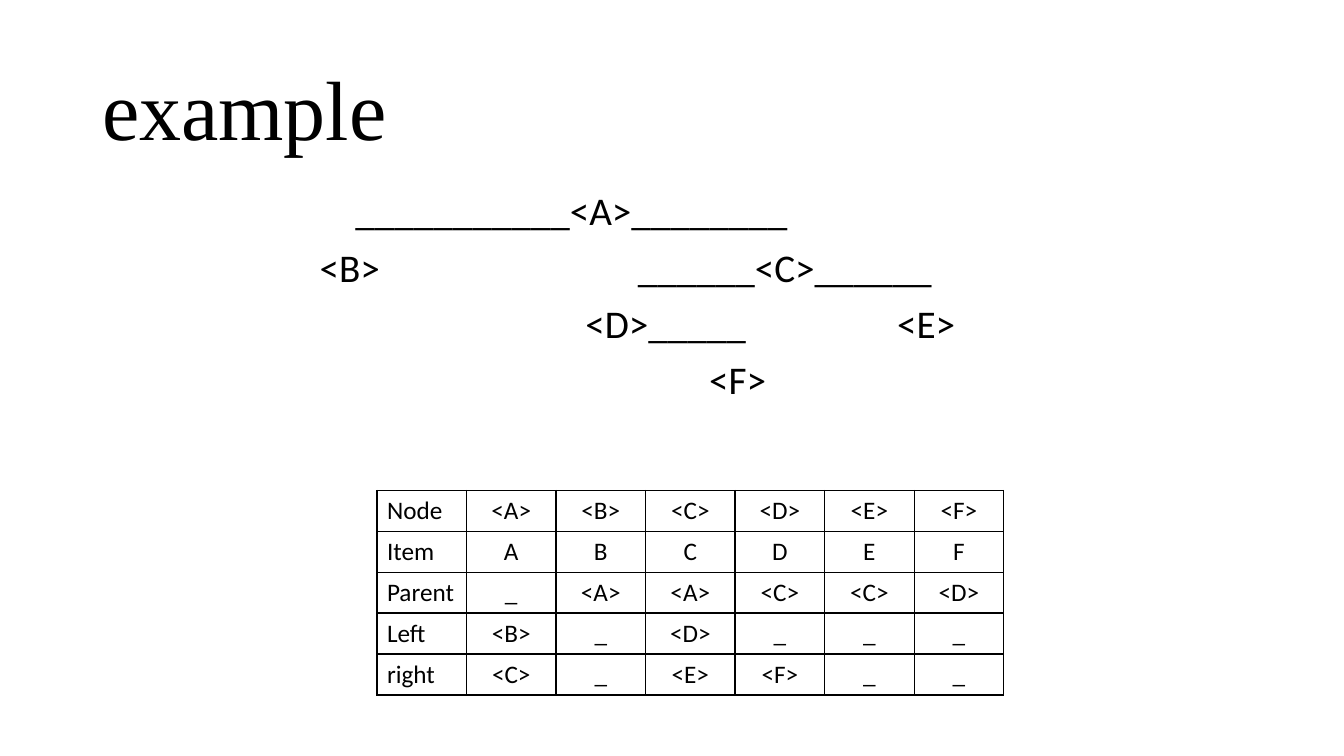
from lxml import etree
from pptx import Presentation
from pptx import util as u
from pptx.dml.color import RGBColor
from pptx.enum import text
from pptx.oxml import ns

PX = 9525
BLACK = "000000"

TREE = [
    ("\t___________<A>________", [34]),
    ("<B>\t______<C>______", [303]),
    ("\t<D>_____\t<E>", [253, 550]),
    ("\t<F>", [371]),
]
NODES = [
    ["Node", "<A>", "<B>", "<C>", "<D>", "<E>", "<F>"],
    ["Item", "A", "B", "C", "D", "E", "F"],
    ["Parent", "_", "<A>", "<A>", "<C>", "<C>", "<D>"],
    ["Left", "<B>", "_", "<D>", "_", "_", "_"],
    ["right", "<C>", "_", "<E>", "<F>", "_", "_"],
]


def px(length):
    return u.Emu(round(length * PX))


def color(value):
    return RGBColor.from_string(value)


def write(para, words, size, font="Calibri", fill=BLACK, align=text.PP_ALIGN.LEFT,
          line=1.0, before=0, tabs=()):
    para.alignment = align
    para.line_spacing = line
    para.space_before = u.Pt(before)
    if tabs:
        stops = etree.SubElement(para._p.get_or_add_pPr(), ns.qn("a:tabLst"))
        for stop in tabs:
            etree.SubElement(stops, ns.qn("a:tab"), pos=str(px(stop)), algn="l")
    span = para.add_run()
    span.text = words
    span.font.size = u.Pt(size)
    span.font.name = font
    span.font.color.rgb = color(fill)


def add_frame(page, box, anchor):
    frame = page.shapes.add_textbox(*map(px, box)).text_frame
    frame.word_wrap = True
    frame.vertical_anchor = anchor
    return frame


def add_title(page, box, words):
    frame = add_frame(page, box, text.MSO_ANCHOR.MIDDLE)
    write(frame.paragraphs[0], words, 60, font="Times New Roman", line=0.9)


def add_tree(page, box, levels):
    frame = add_frame(page, box, text.MSO_ANCHOR.TOP)
    for index, (words, tabs) in enumerate(levels):
        para = frame.add_paragraph() if index else frame.paragraphs[0]
        write(para, words, 28, line=0.9, before=10, tabs=tabs)


def add_borders(cell, fill, width):
    props = cell._tc.get_or_add_tcPr()
    for index, side in enumerate(["lnL", "lnR", "lnT", "lnB"]):
        edge = etree.Element(ns.qn(f"a:{side}"), w=str(u.Pt(width)))
        solid = etree.SubElement(edge, ns.qn("a:solidFill"))
        etree.SubElement(solid, ns.qn("a:srgbClr"), val=fill)
        props.insert(index, edge)


def add_node_table(page, box, rows):
    left, top, width, height = box
    table = page.shapes.add_table(len(rows), len(rows[0]), *map(px, box)).table
    table.first_row = False
    table.horz_banding = False
    for column in table.columns:
        column.width = px(width / len(rows[0]))
    for row, values in zip(table.rows, rows):
        row.height = px(height / len(rows))
        for index, (cell, words) in enumerate(zip(row.cells, values)):
            cell.fill.background()
            add_borders(cell, BLACK, 1)
            align = text.PP_ALIGN.CENTER if index else text.PP_ALIGN.LEFT
            write(cell.text_frame.paragraphs[0], words, 18, align=align)


def main():
    deck = Presentation()
    deck.slide_width, deck.slide_height = px(1280), px(720)
    page = deck.slides.add_slide(deck.slide_layouts[6])
    add_title(page, (88, 38, 1104, 139), "example")
    add_tree(page, (295, 178, 643, 233), TREE)
    add_node_table(page, (359, 467, 597, 195), NODES)
    deck.save("out.pptx")


if __name__ == "__main__":
    main()
